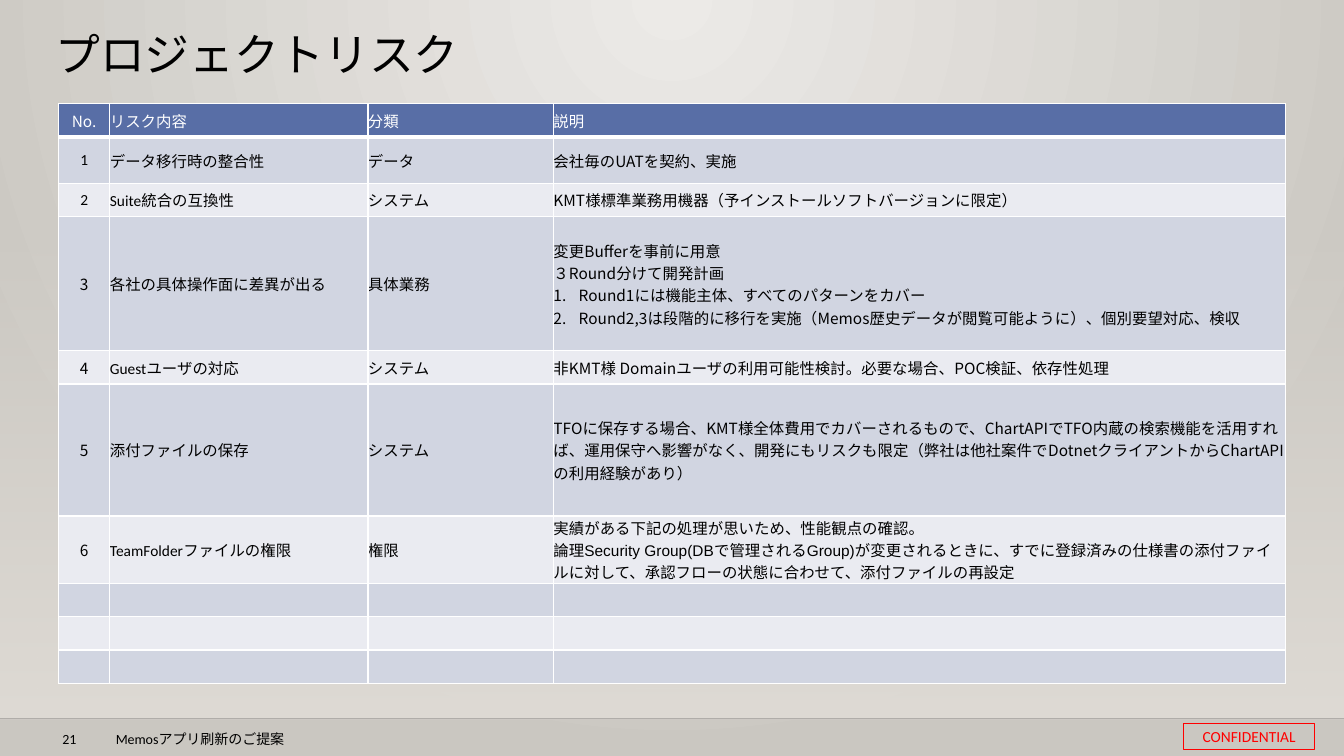
from dataclasses import dataclass

import lxml.etree
import pptx
import pptx.dml.color
import pptx.enum.shapes
import pptx.enum.text
import pptx.oxml
import pptx.oxml.ns
import pptx.util

Inches = pptx.util.Inches
Pt = pptx.util.Pt
qn = pptx.oxml.ns.qn
ALIGN = pptx.enum.text.PP_ALIGN
ANCHOR = pptx.enum.text.MSO_ANCHOR


@dataclass(frozen=True)
class Theme:
    ink: str = "000000"
    white: str = "FFFFFF"
    red: str = "FF0000"
    head: str = "586EA6"
    bands: tuple = ("EAEBF1", "D1D5E1")
    glow: str = "ECEAE7"
    edge: str = "CAC7C1"
    haze: str = "DFDBD5"
    rule: str = "000001"
    calm: str = "Calibri"
    noto: str = "Noto Sans CJK JP"
    arial: str = "Arial"
    title: int = 32
    body: int = 11
    foot: int = 10


@dataclass(frozen=True)
class Line:
    text: str
    font: str
    listed: bool = False


@dataclass(frozen=True)
class Row:
    high: float
    cells: tuple = ((), (), (), ())


@dataclass(frozen=True)
class Label:
    box: tuple
    text: str
    size: int
    space: float = 1.0


T = Theme()


def risk(high: float, num: str, name: str, kind: str, *notes: Line,
         num_font: str = T.noto, kind_font: str = T.calm) -> Row:
    return Row(high, ((Line(num, num_font),), (Line(name, T.calm),),
                      (Line(kind, kind_font),), notes))


LOW = 0.33
COLS = (0.51, 2.56, 1.84, 7.26)
ROWS = (
    risk(LOW, "No.", "リスク内容", "分類", Line("説明", T.calm), kind_font=T.noto),
    risk(0.46, "1", "データ移行時の整合性", "データ",
         Line("会社毎のUATを契約、実施", T.noto), num_font=T.calm),
    risk(LOW, "2", "Suite統合の互換性", "システム",
         Line("KMT様標準業務用機器（予インストールソフトバージョンに限定）", T.noto),
         num_font=T.calm),
    risk(1.33, "3", "各社の具体操作面に差異が出る", "具体業務",
         Line("変更Bufferを事前に用意", T.noto),
         Line("３Round分けて開発計画", T.noto),
         Line("Round1には機能主体、すべてのパターンをカバー", T.noto, True),
         Line("Round2,3は段階的に移行を実施（Memos歴史データが閲覧可能ように）、"
              "個別要望対応、検収", T.noto, True)),
    risk(LOW, "4", "Guestユーザの対応", "システム",
         Line("非KMT様 Domainユーザの利用可能性検討。必要な場合、POC検証、依存性処理",
              T.noto)),
    risk(1.31, "5", "添付ファイルの保存", "システム",
         Line("TFOに保存する場合、KMT様全体費用でカバーされるもので、ChartAPIでTFO内蔵の"
              "検索機能を活用すれば、運用保守へ影響がなく、開発にもリスクも限定（弊社は"
              "他社案件でDotnetクライアントからChartAPIの利用経験があり）", T.noto),
         kind_font=T.noto),
    risk(0.67, "6", "TeamFolderファイルの権限", "権限",
         Line("実績がある下記の処理が思いため、性能観点の確認。", T.noto),
         Line("論理Security Group(DBで管理されるGroup)が変更されるときに、すでに登録済みの"
              "仕様書の添付ファイルに対して、承認フローの状態に合わせて、添付ファイルの再設定",
              T.arial),
         kind_font=T.noto),
    *[Row(LOW)] * 3,
)
LABELS = (
    Label((0.45, 0.28, 10.2, 0.75), "プロジェクトリスク", T.title, 0.9),
    Label((0.52, 7.2, 0.4, 0.19), "21", T.foot),
    Label((1.05, 7.2, 5.67, 0.19), "Memosアプリ刷新のご提案", T.foot),
)


def rgb(tint: str) -> pptx.dml.color.RGBColor:
    return pptx.dml.color.RGBColor.from_string(tint)


def add(node, tag: str, **attrs: str):
    return lxml.etree.SubElement(node, qn(tag), attrs)


def add_run(para, text: str, size: int, font: str, tint: str) -> None:
    run = para.add_run()
    run.text = text
    run.font.size = Pt(size)
    run.font.bold = False
    run.font.name = font
    run.font.color.rgb = rgb(tint)
    add(run._r.get_or_add_rPr(), "a:ea", typeface=T.noto)


def add_label(slide, label: Label) -> None:
    frame = slide.shapes.add_textbox(*map(Inches, label.box)).text_frame
    frame.word_wrap = True
    para = frame.paragraphs[0]
    para.line_spacing = label.space
    add_run(para, label.text, label.size, T.calm, T.ink)


def add_back(slide) -> None:
    # Round glow from the top centre
    fill = slide.background.fill
    fill.gradient()
    for stop, tint in zip(fill.gradient_stops, (T.glow, T.edge)):
        stop.color.rgb = rgb(tint)
    grad = next(slide._element.iter(qn("a:gradFill")))
    grad.remove(grad.find(qn("a:lin")))
    ring = add(grad, "a:path", path="circle")
    add(ring, "a:fillToRect", l="43000", t="0", r="43000", b="100000")

    # Haze that grows towards the footer
    haze = slide.shapes.add_shape(
        pptx.enum.shapes.MSO_SHAPE.RECTANGLE,
        *map(Inches, (0, 2.21, 13.33, 4.93)))
    haze.shadow.inherit = False
    haze.line.fill.background()
    haze.fill.gradient()
    for stop in haze.fill.gradient_stops:
        stop.color.rgb = rgb(T.haze)
    haze.fill.gradient_angle = 270
    first = next(haze._element.iter(qn("a:srgbClr")))
    add(first, "a:alpha", val="0")

    # Footer rule
    rule = slide.shapes.add_connector(
        pptx.enum.shapes.MSO_CONNECTOR.STRAIGHT,
        *map(Inches, (0, 7.13, 13.33, 7.13)))
    rule.line.width = Pt(1)
    rule.line.color.rgb = rgb(T.rule)
    add(next(rule._element.iter(qn("a:srgbClr"))), "a:alpha", val="20000")
    add(rule._element.spPr, "a:effectLst")


def add_stamp(slide) -> None:
    stamp = slide.shapes.add_shape(
        pptx.enum.shapes.MSO_SHAPE.RECTANGLE,
        *map(Inches, (11.74, 7.18, 1.3, 0.26)))
    stamp.shadow.inherit = False
    stamp.fill.background()
    stamp.line.color.rgb = rgb(T.red)
    stamp.line.width = Pt(0.75)
    frame = stamp.text_frame
    frame.margin_left = frame.margin_right = Inches(0.04)
    frame.margin_top = frame.margin_bottom = Inches(0.04)
    frame.vertical_anchor = ANCHOR.MIDDLE
    para = frame.paragraphs[0]
    para.alignment = ALIGN.CENTER
    add_run(para, "CONFIDENTIAL", T.body, T.calm, T.red)


def fill_cell(cell, lines: tuple, row: int, col: int) -> None:
    cell.margin_left = cell.margin_right = 0
    cell.margin_top = cell.margin_bottom = 0
    cell.vertical_anchor = ANCHOR.MIDDLE
    # Borders, with a thick rule under the header
    for side in "LRTB":
        thick = (row, side) in ((0, "B"), (1, "T"))
        edge = add(cell._tc.get_or_add_tcPr(), f"a:ln{side}",
                   w=str(Pt(3 if thick else 1)))
        add(add(edge, "a:solidFill"), "a:srgbClr", val=T.white)
    cell.fill.solid()
    cell.fill.fore_color.rgb = rgb(T.bands[row % 2] if row else T.head)
    # Text
    frame = cell.text_frame
    for spot, line in enumerate(lines):
        para = frame.add_paragraph() if spot else frame.paragraphs[0]
        para.alignment = ALIGN.LEFT if col else ALIGN.CENTER
        if line.listed:
            props = para._p.get_or_add_pPr()
            props.set("marL", str(Inches(0.25)))
            props.set("indent", str(-Inches(0.25)))
            add(props, "a:buFont", typeface="+mj-lt")
            add(props, "a:buAutoNum", type="arabicPeriod")
        add_run(para, line.text, T.body, line.font, T.ink if row else T.white)


def add_risks(slide) -> None:
    table = slide.shapes.add_table(
        len(ROWS), len(COLS), Inches(0.58), Inches(1.03),
        Inches(sum(COLS)), Inches(sum(row.high for row in ROWS))).table
    for col, wide in zip(table.columns, COLS):
        col.width = Inches(wide)
    for i, row in enumerate(ROWS):
        table.rows[i].height = Inches(row.high)
        for j, lines in enumerate(row.cells):
            fill_cell(table.cell(i, j), lines, i, j)


def main() -> None:
    deck = pptx.Presentation()
    deck.slide_width, deck.slide_height = Inches(13.33), Inches(7.5)
    slide = deck.slides.add_slide(deck.slide_layouts[6])
    add_back(slide)
    for label in LABELS:
        add_label(slide, label)
    add_stamp(slide)
    add_risks(slide)
    deck.save("out.pptx")


if __name__ == "__main__":
    main()
